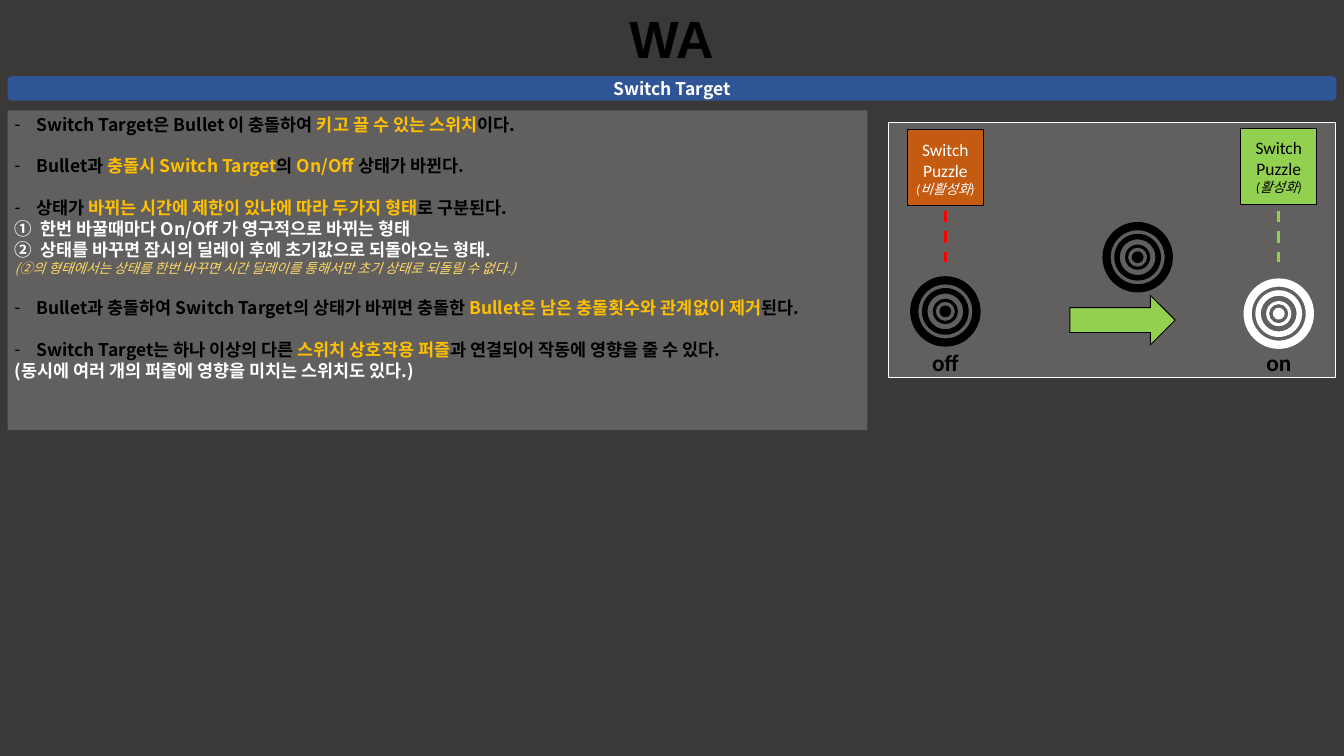
from dataclasses import dataclass

import pptx
import pptx.dml.color
import pptx.enum.dml
import pptx.enum.shapes
import pptx.enum.text
import pptx.oxml
import pptx.oxml.ns
import pptx.util
from lxml import etree

Pt = pptx.util.Pt
SHAPE = pptx.enum.shapes.MSO_SHAPE
ALIGN = pptx.enum.text.PP_ALIGN
ANCHOR = pptx.enum.text.MSO_ANCHOR
qn = pptx.oxml.ns.qn

KOREAN, LATIN = "Noto Sans CJK KR", "Calibri"
BLACK, WHITE, GOLD, PALE_GOLD = "000000", "FFFFFF", "FFC000", "FFD966"
GREEN, ORANGE, RED, BLUE = "92D050", "C55A11", "FF0000", "2F5597"
RING_SIZES = (72.7, 48.2, 25.9)
DOT_SIZE = 12.2
DASH, NUMBER = "dash", "number"


@dataclass
class Rule:
    runs: list[tuple[str, str]]
    marker: str = ""
    gap: float = 0
    size: float = 18
    italic: bool = False


@dataclass
class SwitchState:
    label: str
    note: str
    x: float
    box_top: float
    target_y: float
    box_color: str
    text_color: str
    link_color: str
    target_color: str


RULES = [
    Rule([("Switch Target은 Bullet 이 충돌하여 ", BLACK), ("키고 끌 수 있는 스위치", GOLD),
          ("이다.", BLACK)], DASH),
    Rule([("Bullet과 ", BLACK), ("충돌시 Switch Target", GOLD), ("의 ", BLACK),
          ("On/Off", GOLD), (" 상태가 바뀐다.", BLACK)], DASH, 21.5),
    Rule([("상태가 ", BLACK), ("바뀌는 시간에 제한이 있냐에 따라 두가지 형태", GOLD),
          ("로 구분된다.", BLACK)], DASH, 21.5),
    Rule([("한번 바꿀때마다 On/Off 가 영구적으로 바뀌는 형태", WHITE)], NUMBER),
    Rule([("상태를 바꾸면 잠시의 딜레이 후에 초기값으로 되돌아오는 형태.", WHITE)], NUMBER),
    Rule([("(②의 형태에서는 상태를 한번 바꾸면 시간 딜레이를 통해서만 초기 상태로 되돌릴 수 없다.)",
           PALE_GOLD)], size=14, italic=True),
    Rule([("Bullet과 충돌하여 Switch Target의 상태가 바뀌면 충돌한 ", BLACK),
          ("Bullet은 남은 충돌횟수와 관계없이 제거", GOLD), ("된다.", BLACK)], DASH, 21.5),
    Rule([("Switch Target는 하나 이상의 다른 ", BLACK), ("스위치 상호작용 퍼즐", GOLD),
          ("과 연결되어 작동에 영향을 줄 수 있다.", BLACK)], DASH, 21.5),
    Rule([("(동시에 여러 개의 퍼즐에 영향을 미치는 스위치도 있다.)", WHITE)]),
]
STATES = [
    SwitchState("off", "(비활성화)", 975.4, 133.9, 321.2, ORANGE, WHITE, RED, BLACK),
    SwitchState("on", "(활성화)", 1319.4, 132.5, 323.5, GREEN, BLACK, GREEN, WHITE),
]


def rgb(color: str) -> pptx.dml.color.RGBColor:
    return pptx.dml.color.RGBColor.from_string(color)


def add_run(p, text: str, *, size: float = 18, color: str = BLACK, font: str = KOREAN,
            bold: bool = False, italic: bool = False) -> None:
    r = p.add_run()
    r.text = text
    f = r.font
    f.size, f.bold, f.italic, f.name = Pt(size), bold, italic, font
    f.color.rgb = rgb(color)
    etree.SubElement(r.font._element, qn("a:ea"), typeface=KOREAN)


def add_shape(s, kind, x: float, y: float, w: float, h: float, fill: str,
              line: str = "", alpha: int = 100):
    sp = s.shapes.add_shape(kind, Pt(x), Pt(y), Pt(w), Pt(h))
    sp.shadow.inherit = False
    sp.fill.solid()
    sp.fill.fore_color.rgb = rgb(fill)
    if alpha < 100:
        clr = sp._element.spPr.find(qn("a:solidFill")).find(qn("a:srgbClr"))
        etree.SubElement(clr, qn("a:alpha"), val=str(alpha * 1000))
    if line:
        sp.line.color.rgb = rgb(line)
        sp.line.width = Pt(1)
    else:
        sp.line.fill.background()
    return sp


def add_marker(p, marker: str) -> None:
    """Give the paragraph a hanging dash or circled number."""
    indent = Pt(22.5 if marker == DASH else 27)
    pPr = p._p.get_or_add_pPr()
    pPr.set("marL", str(indent))
    pPr.set("indent", str(-indent))
    if marker == DASH:
        etree.SubElement(pPr, qn("a:buFont"), typeface="Arial")
        etree.SubElement(pPr, qn("a:buChar"), char="-")
    else:
        etree.SubElement(pPr, qn("a:buAutoNum"), type="circleNumDbPlain")


def add_rules(s) -> None:
    sp = add_shape(s, SHAPE.RECTANGLE, 7.9, 113.8, 887, 329.8, WHITE, alpha=20)
    tf = sp.text_frame
    tf.word_wrap = True
    tf.vertical_anchor = ANCHOR.TOP
    for i, rule in enumerate(RULES):
        p = tf.paragraphs[0] if i == 0 else tf.add_paragraph()
        p.alignment = ALIGN.LEFT
        if rule.marker:
            add_marker(p, rule.marker)
        p.line_spacing = Pt(21.5 if rule.size == 18 else 17.5)
        p.space_before = Pt(rule.gap)
        for text, color in rule.runs:
            add_run(p, text, size=rule.size, color=color, bold=not rule.italic,
                    italic=rule.italic)


def add_target(s, x: float, y: float, color: str) -> None:
    """Draw concentric rings and a dot centred on x, y."""
    for size in RING_SIZES:
        ring = add_shape(s, SHAPE.DONUT, x - size / 2, y - size / 2, size, size, color)
        ring.adjustments[0] = 0.117
    add_shape(s, SHAPE.OVAL, x - DOT_SIZE / 2, y - DOT_SIZE / 2, DOT_SIZE, DOT_SIZE, color)


def add_state(s, state: SwitchState) -> None:
    box = add_shape(s, SHAPE.RECTANGLE, state.x - 39.25, state.box_top, 78.5, 78.5,
                    state.box_color, BLACK)
    tf = box.text_frame
    tf.word_wrap = True
    tf.vertical_anchor = ANCHOR.MIDDLE
    for i, text in enumerate(("Switch", "Puzzle", state.note)):
        p = tf.paragraphs[0] if i == 0 else tf.add_paragraph()
        p.alignment = ALIGN.CENTER
        is_note = text == state.note
        if is_note:
            p.line_spacing = Pt(17)
        add_run(p, text, size=14 if is_note else 18, color=state.text_color, font=LATIN,
                italic=is_note)

    link = s.shapes.add_connector(pptx.enum.shapes.MSO_CONNECTOR.STRAIGHT,
                                  Pt(state.x), Pt(217.4), Pt(state.x), Pt(270))
    link.line.color.rgb = rgb(state.link_color)
    link.line.width = Pt(3)
    link.line.dash_style = pptx.enum.dml.MSO_LINE.DASH
    etree.SubElement(link._element.spPr, qn("a:effectLst"))

    add_target(s, state.x, state.target_y, state.target_color)
    label = s.shapes.add_textbox(Pt(state.x - 30.6), Pt(355.7), Pt(61.2), Pt(36))
    label.text_frame.word_wrap = True
    p = label.text_frame.paragraphs[0]
    p.alignment = ALIGN.CENTER
    add_run(p, state.label, size=24, font=LATIN, bold=True)


def main() -> None:
    prs = pptx.Presentation()
    prs.slide_width, prs.slide_height = Pt(1386.72), Pt(779.76)
    s = prs.slides.add_slide(prs.slide_layouts[5])
    s.background.fill.solid()
    s.background.fill.fore_color.rgb = rgb("3B3838")

    title = s.shapes.title
    title.left, title.top, title.width, title.height = Pt(640), Pt(3), Pt(106), Pt(72.7)
    tf = title.text_frame
    tf.word_wrap = False
    tf.auto_size = pptx.enum.text.MSO_AUTO_SIZE.NONE
    tf.vertical_anchor = ANCHOR.TOP
    tf.paragraphs[0].alignment = ALIGN.CENTER
    add_run(tf.paragraphs[0], "WA", size=54, font="Arial", bold=True)

    header = add_shape(s, SHAPE.ROUNDED_RECTANGLE, 7.9, 78.5, 1370.9, 25.2, BLUE)
    header.text_frame.vertical_anchor = ANCHOR.MIDDLE
    header.text_frame.paragraphs[0].alignment = ALIGN.CENTER
    add_run(header.text_frame.paragraphs[0], "Switch Target", color=WHITE, bold=True)

    add_rules(s)
    add_shape(s, SHAPE.RECTANGLE, 916.6, 126, 461.5, 263.5, WHITE, WHITE, alpha=20)
    add_shape(s, SHAPE.RIGHT_ARROW, 1103.8, 304.6, 108.7, 51.1, GREEN, BLACK)
    for state in STATES:
        add_state(s, state)
    add_target(s, 1173.8, 265.3, BLACK)
    prs.save("out.pptx")


if __name__ == "__main__":
    main()
